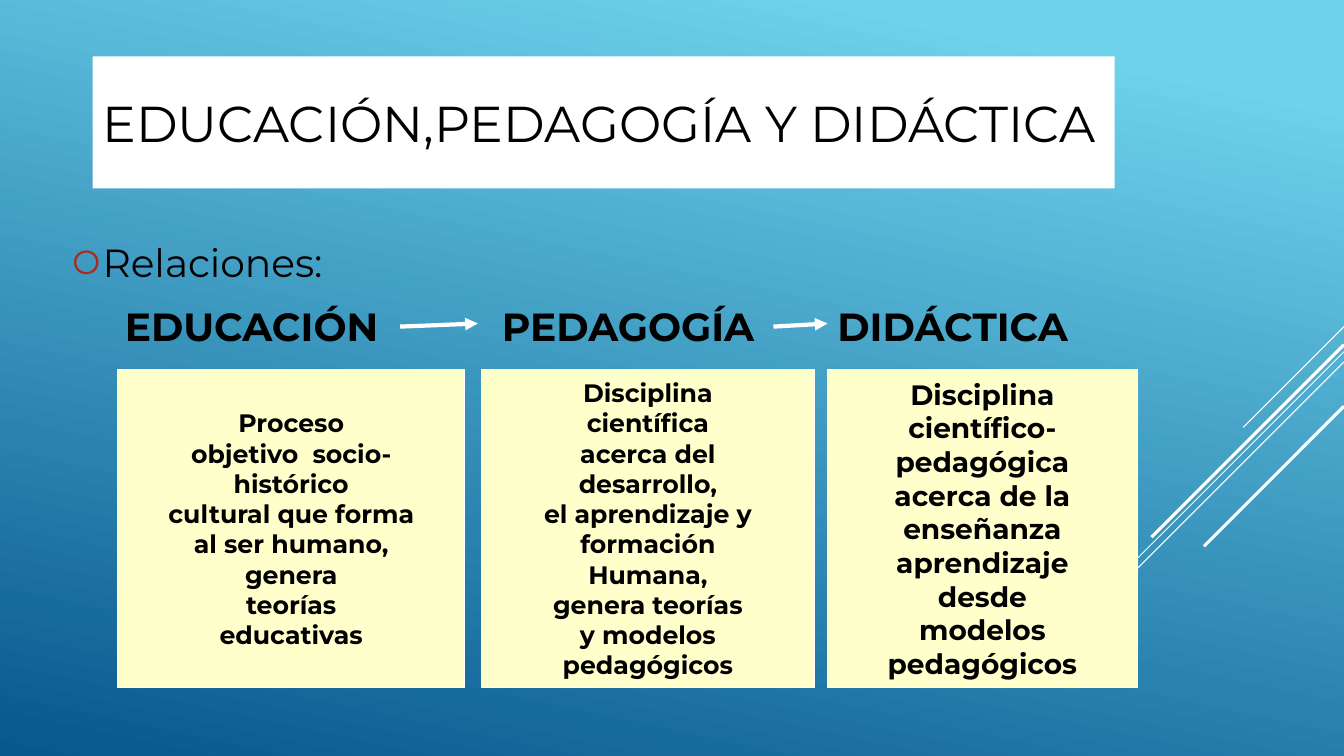
from lxml import etree
from pptx import Presentation
from pptx.dml.color import RGBColor
from pptx.enum.shapes import MSO_CONNECTOR, MSO_SHAPE
from pptx.enum.text import MSO_ANCHOR, PP_ALIGN
from pptx.oxml.ns import qn
from pptx.util import Pt

STRAIGHT = MSO_CONNECTOR.STRAIGHT
RECTANGLE = MSO_SHAPE.RECTANGLE
MIDDLE, TOP = MSO_ANCHOR.MIDDLE, MSO_ANCHOR.TOP
LEFT, CENTER = PP_ALIGN.LEFT, PP_ALIGN.CENTER

WIDTH, HEIGHT = 960, 540
FONT = "Montserrat"
WHITE, BLACK, CREAM, RED = "FFFFFF", "000000", "FFFFCC", "AA2B1E"
SKY, DEEP_BLUE = "6ED2EB", "06588E"

STRIPES = [(233.3, 72, 0.75), (251.3, 234.7, 0.75), (258.5, 149, 0.75),
           (246.2, 137.5, 2.25), (290.2, 100, 2.25)]

CONCEPTS = [
    ("EDUCACIÓN", 82.1, (84.2, 247.7), 18,
     ["Proceso", "objetivo  socio-", "histórico", "cultural que forma",
      "al ser humano,", "genera", "teorías", "educativas"]),
    ("PEDAGOGÍA", 351.4, (343.8, 238), 18,
     ["Disciplina", "científica", "acerca del", "desarrollo,",
      "el aprendizaje y", "formación", "Humana,", "genera teorías",
      "y modelos", "pedagógicos"]),
    ("DIDÁCTICA", 591.1, (591.1, 221.3), 20,
     ["Disciplina", "científico-", "pedagógica", "acerca de la",
      "enseñanza", "aprendizaje", "desde", "modelos", "pedagógicos"]),
]
ARROWS = [(285.8, 341.3), (552.5, 591.1)]


def color(hex_code):
    """Return the colour for a hex string."""
    return RGBColor.from_string(hex_code)


def write(shape, lines, size, bold=False, align=LEFT, anchor=TOP, wrap=True):
    """Fill a shape with one paragraph per line."""
    frame = shape.text_frame
    frame.word_wrap = wrap
    frame.vertical_anchor = anchor
    frame.text = "\n".join(lines)
    for paragraph in frame.paragraphs:
        paragraph.alignment = align
        paragraph.font.name = FONT
        paragraph.font.size = Pt(size)
        paragraph.font.bold = bold
        paragraph.font.color.rgb = color(BLACK)


def add_panel(slide, box, fill):
    """Add a plain filled rectangle."""
    panel = slide.shapes.add_shape(RECTANGLE, *map(Pt, box))
    panel.shadow.inherit = False
    panel.fill.solid()
    panel.fill.fore_color.rgb = color(fill)
    panel.line.fill.background()
    return panel


def add_line(slide, start, end, weight):
    """Add a white straight line without a shadow."""
    line = slide.shapes.add_connector(STRAIGHT, *map(Pt, start + end))
    line.line.color.rgb = color(WHITE)
    line.line.width = Pt(weight)
    etree.SubElement(line._element.spPr, qn("a:effectLst"))
    return line


def add_backdrop(slide):
    """Paint the gradient and the diagonal stripes at the right edge."""
    fill = slide.background.fill
    fill.gradient()
    fill.gradient_angle = 258
    stops = zip(fill.gradient_stops, [(SKY, 0.1), (DEEP_BLUE, 1)])
    for stop, (shade, position) in stops:
        stop.color.rgb = color(shade)
        stop.position = position
    for y, reach, weight in STRIPES:
        add_line(slide, (WIDTH, y), (WIDTH - reach, y + reach), weight)


def add_title(slide, box):
    """Add the white title band."""
    band = add_panel(slide, box, WHITE)
    write(band, ["EDUCACIÓN,PEDAGOGÍA Y DIDÁCTICA"], 36, anchor=MIDDLE)


def add_relations(slide, box):
    """Add the bulleted lead-in."""
    lead = slide.shapes.add_textbox(*map(Pt, box))
    write(lead, ["Relaciones:"], 28)
    properties = lead.text_frame.paragraphs[0]._p.get_or_add_pPr()
    properties.set("marL", str(Pt(21.6)))
    properties.set("indent", str(Pt(-21.6)))
    bullet_color = etree.SubElement(properties, qn("a:buClr"))
    etree.SubElement(bullet_color, qn("a:srgbClr"), val=RED)
    etree.SubElement(properties, qn("a:buSzPct"), val="85000")
    etree.SubElement(properties, qn("a:buFont"), typeface=FONT)
    etree.SubElement(properties, qn("a:buChar"), char="O")


def add_concepts(slide, top, height):
    """Add the headings, their definitions and the arrows between them."""
    definition_top = top + 51.8
    for heading, heading_left, (left, width), size, definition in CONCEPTS:
        label = slide.shapes.add_textbox(
            Pt(heading_left), Pt(top), Pt(200), Pt(41))
        write(label, [heading], 28, bold=True, wrap=False)
        card = add_panel(
            slide, (left, definition_top, width, height - 51.8), CREAM)
        card.line.color.rgb = color(WHITE)
        card.line.width = Pt(0.75)
        write(card, definition, size, True, CENTER, MIDDLE, False)
    for start, end in ARROWS:
        arrow = add_line(slide, (start, top + 20.9), (end, top + 18.7), 3)
        etree.SubElement(
            arrow.line._get_or_add_ln(), qn("a:tailEnd"), type="triangle")


def main():
    """Build and save the slide."""
    presentation = Presentation()
    presentation.slide_width = Pt(WIDTH)
    presentation.slide_height = Pt(HEIGHT)
    slide = presentation.slides.add_slide(presentation.slide_layouts[6])
    add_backdrop(slide)
    add_title(slide, (66.2, 40.3, 730.1, 94.3))
    add_relations(slide, (44.6, 167, 849.6, 334.8))
    add_concepts(slide, 212.4, 278.6)
    presentation.save("out.pptx")


if __name__ == "__main__":
    main()
